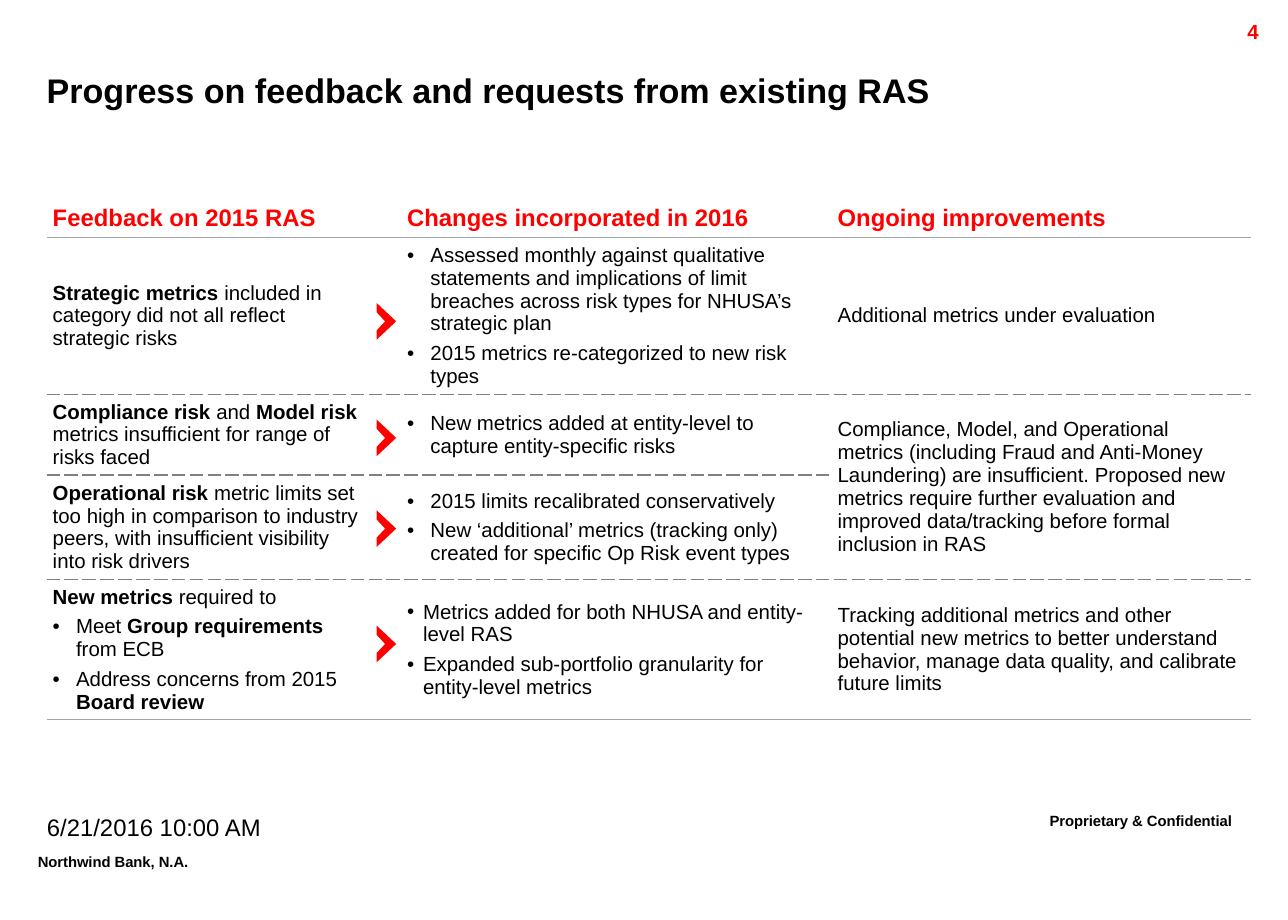
from lxml.etree import SubElement
from pptx import Presentation
from pptx.dml.color import RGBColor
from pptx.enum.text import MSO_ANCHOR, PP_ALIGN
from pptx.oxml import parse_xml
from pptx.oxml.ns import nsdecls, qn
from pptx.util import Inches, Pt

COLORS = {"text": "000000", "accent": "FF0000", "solid": "A5A5A5", "dash": "808080"}
PLAIN_TABLE = "{2D5ABB26-0587-4C30-8999-92F81FD0307C}"

COLUMN_WIDTHS = [2.69, 0.19, 3.51, 3.42]
ROW_HEIGHTS = [0.31, 1.28, 0.66, 0.85, 1.14]
ROW_RULES = ["solid", "dash", "dash", "dash", "solid"]
CHEVRON_TOPS = [2.47, 3.42, 4.16, 5.1]

# Each cell is a list of paragraphs; ** switches bold on and off.
ROWS = [
    [["**Feedback on 2015 RAS**"], [], ["**Changes incorporated in 2016**"],
     ["**Ongoing improvements**"]],
    [["**Strategic metrics** included in category did not all reflect strategic risks"],
     [],
     ["• Assessed monthly against qualitative statements and implications of limit "
      "breaches across risk types for NHUSA’s strategic plan",
      "• 2015 metrics re-categorized to new risk types"],
     ["Additional metrics under evaluation"]],
    [["**Compliance risk** and **Model risk** metrics insufficient for range of risks faced"],
     [],
     ["• New metrics added at entity-level to capture entity-specific risks"],
     ["Compliance, Model, and Operational metrics (including Fraud and Anti-Money "
      "Laundering) are insufficient. Proposed new metrics require further evaluation "
      "and improved data/tracking before formal inclusion in RAS"]],
    [["**Operational risk** metric limits set too high in comparison to industry peers, "
      "with insufficient visibility into risk drivers"],
     [],
     ["• 2015 limits recalibrated conservatively",
      "• New ‘additional’ metrics (tracking only) created for specific Op Risk event types"],
     []],
    [["**New metrics** required to",
      "• Meet **Group requirements** from ECB",
      "• Address concerns from 2015 **Board review**"],
     [],
     ["• Metrics added for both NHUSA and entity-level RAS",
      "• Expanded sub-portfolio granularity for entity-level metrics"],
     ["Tracking additional metrics and other potential new metrics to better understand "
      "behavior, manage data quality, and calibrate future limits"]],
]


def style_span(span, size, color="text", bold=False):
    span.font.name = "Arial"
    span.font.size = Pt(size)
    span.font.bold = bold
    span.font.color.rgb = RGBColor.from_string(COLORS[color])


def add_label(slide, box, text, size, color="text", bold=True, align=PP_ALIGN.LEFT,
              wrap=True, raised=False, spacing=1.0):
    """Place one line of text; raised sets it as superscript."""
    label = slide.shapes.add_textbox(*map(Inches, box))
    frame = label.text_frame
    frame.word_wrap = wrap
    frame.text = text
    para = frame.paragraphs[0]
    para.alignment = align
    para.line_spacing = spacing
    span = para.runs[0]
    style_span(span, size, color, bold)
    if raised:
        span.font._element.set("baseline", "30000")
    return label


def add_title(slide, box):
    frame = add_label(slide, box, "Progress on feedback and requests from existing RAS",
                      20).text_frame
    frame.margin_left = frame.margin_right = frame.margin_top = frame.margin_bottom = 0
    frame.vertical_anchor = MSO_ANCHOR.MIDDLE


def add_bullet(para, indent):
    properties = para._p.get_or_add_pPr()
    properties.set("marL", str(Inches(indent)))
    properties.set("indent", str(-Inches(indent)))
    SubElement(properties, qn("a:buFont")).set("typeface", "Arial")
    SubElement(properties, qn("a:buChar")).set("char", "•")


def fill_cell(cell, lines, header, indent):
    cell.fill.background()
    cell.vertical_anchor = MSO_ANCHOR.MIDDLE
    cell.margin_left = cell.margin_top = cell.margin_bottom = Inches(0.05)
    cell.margin_right = Inches(0.11)
    frame = cell.text_frame
    if not lines:
        SubElement(frame.paragraphs[0]._p, qn("a:endParaRPr")).set("sz", "1200")
    for number, line in enumerate(lines):
        para = frame.add_paragraph() if number else frame.paragraphs[0]
        para.line_spacing = Pt(15.4 if header else 13.4)
        if number:
            para.space_before = Pt(4)
        if line.startswith("• "):
            add_bullet(para, indent)
        for part, text in enumerate(line.removeprefix("• ").split("**")):
            if text:
                span = para.add_run()
                span.text = text
                style_span(span, 14 if header else 12,
                           "accent" if header else "text", part % 2 == 1)


def set_rules(cell, top, bottom):
    """Draw the rules above and below a cell; None leaves a side open."""
    properties = cell._tc.get_or_add_tcPr()
    sides = [("lnL", None), ("lnR", None), ("lnT", top), ("lnB", bottom)]
    for position, (side, rule) in enumerate(sides):
        if rule:
            width = Pt(1 if rule == "dash" else 0.75)
            line = (f'<a:solidFill><a:srgbClr val="{COLORS[rule]}"/></a:solidFill>'
                    f'<a:prstDash val="{rule}"/>')
        else:
            width, line = 0, "<a:noFill/>"
        properties.insert(position, parse_xml(
            f'<a:{side} {nsdecls("a")} w="{width}">{line}</a:{side}>'))


def add_feedback_table(slide, left, top):
    frame = slide.shapes.add_table(
        len(ROWS), len(COLUMN_WIDTHS), Inches(left), Inches(top),
        Inches(sum(COLUMN_WIDTHS)), Inches(sum(ROW_HEIGHTS)))
    table = frame.table
    table.first_row = table.horz_banding = False
    table._tbl.tblPr.find(qn("a:tableStyleId")).text = PLAIN_TABLE
    for column, width in zip(table.columns, COLUMN_WIDTHS):
        column.width = Inches(width)
    for row, height in zip(table.rows, ROW_HEIGHTS):
        row.height = Inches(height)
    table.cell(2, 3).merge(table.cell(3, 3))
    for row, cells in enumerate(ROWS):
        for column, lines in enumerate(cells):
            cell = table.cell(row, column)
            fill_cell(cell, lines, row == 0, 0.13 if (row, column) == (4, 2) else 0.19)
            above = ROW_RULES[row - 1] if row and not cell.is_spanned else None
            below = None if cell.is_merge_origin else ROW_RULES[row]
            set_rules(cell, above, below)


def add_chevron(slide, left, top, width=0.16, height=0.3):
    middle, notch = height / 2, 0.07
    points = [(0, height / 4), (notch, middle), (0, height * 3 / 4),
              (0, height), (width, middle)]
    builder = slide.shapes.build_freeform(Inches(left), Inches(top))
    builder.add_line_segments(
        [(Inches(left + x), Inches(top + y)) for x, y in points], close=True)
    chevron = builder.convert_to_shape()
    chevron.shadow.inherit = False
    chevron.fill.solid()
    chevron.fill.fore_color.rgb = RGBColor.from_string(COLORS["accent"])
    chevron.line.fill.background()


def add_page_marks(slide):
    """Place the footer texts and the page number."""
    center = PP_ALIGN.CENTER
    add_label(slide, (0.21, 6.91, 1.68, 0.32), "Northwind Bank, N.A.", 15,
              wrap=False, raised=True, spacing=0.86)
    add_label(slide, (0.05, 6.61, 2.41, 0.34), "6/21/2016 10:00 AM", 14,
              bold=False, align=center, spacing=0.86)
    add_label(slide, (8.21, 6.58, 2.18, 0.35), "Proprietary & Confidential", 15,
              align=center, raised=True, spacing=0.86)
    add_label(slide, (9.36, 0.11, 1, 0.24), "4", 12, "accent", align=PP_ALIGN.RIGHT)


def main():
    deck = Presentation()
    deck.slide_width, deck.slide_height = Inches(10.5), Inches(7.5)
    slide = deck.slides.add_slide(deck.slide_layouts[6])
    add_page_marks(slide)
    add_title(slide, (0.38, 0.49, 9.48, 0.48))
    add_feedback_table(slide, 0.38, 1.62)
    for top in CHEVRON_TOPS:
        add_chevron(slide, 3.07, top)
    deck.save("out.pptx")


if __name__ == "__main__":
    main()
